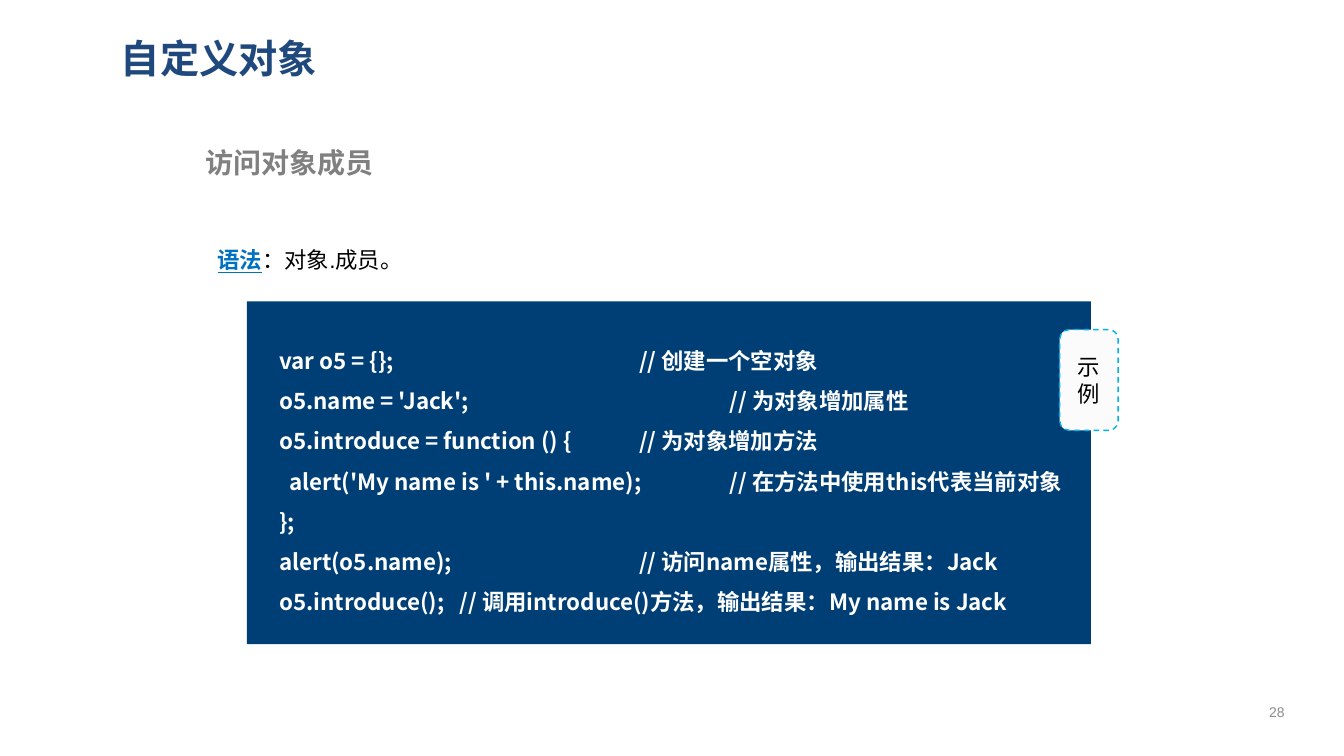
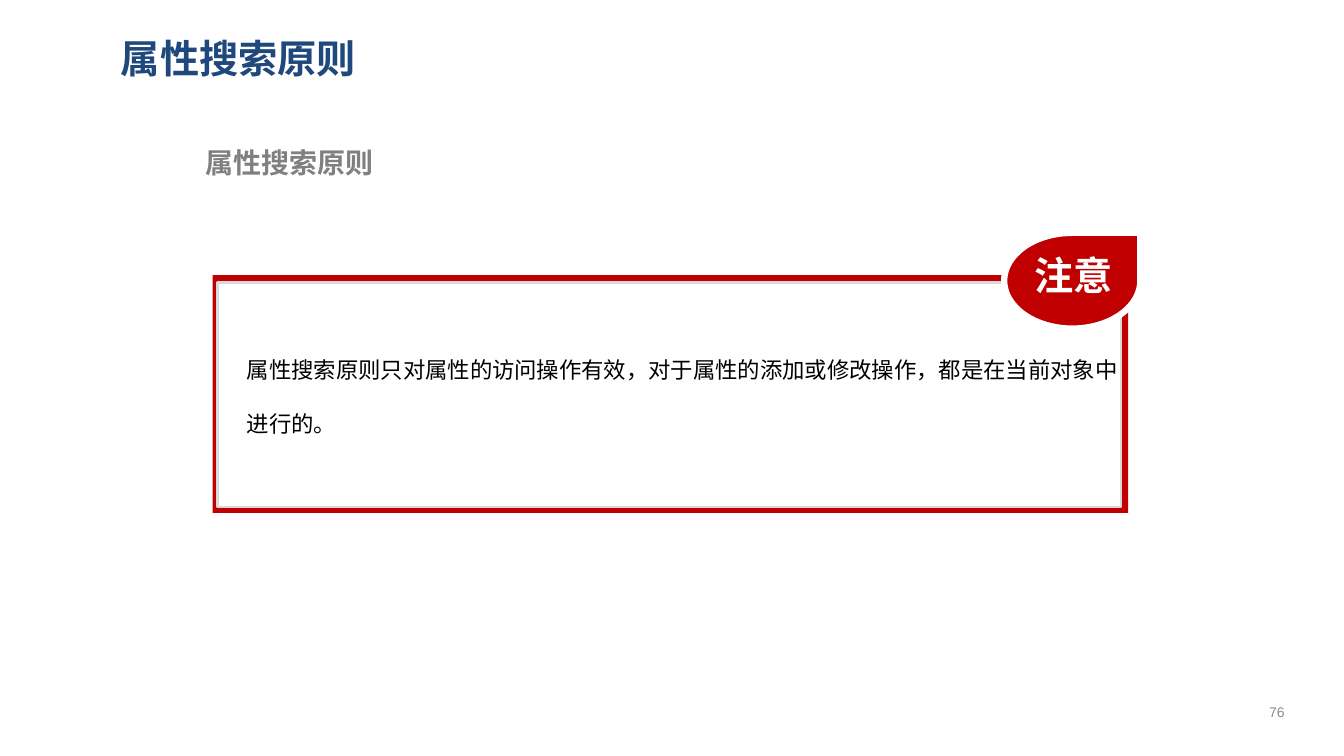
import pptx
import pptx.dml.color
import pptx.enum.dml
import pptx.enum.shapes
import pptx.enum.text
import pptx.oxml.xmlchemy
import pptx.util
from pptx.oxml.ns import qn
from lxml import etree

Inches = pptx.util.Inches
SHAPE = pptx.enum.shapes.MSO_SHAPE
ALIGN = pptx.enum.text.PP_ALIGN
ANCHOR = pptx.enum.text.MSO_ANCHOR

SANS = "Noto Sans CJK SC"
COLORS = {
    "title": "1F497D", "grey": "808080", "number": "8C8C8C",
    "link": "0070C0", "navy": "003F75", "cyan": "00B4E9",
    "tag": "FBFBFB", "rim": "D9D9D9", "red": "C00000",
    "black": "000000", "white": "FFFFFF",
}
TABS = [1.79, 2.68, 3.57, 4.47]
CODE = [
    "var o5 = {};\t\t\t// 创建一个空对象",
    "o5.name = 'Jack';\t\t\t// 为对象增加属性",
    "o5.introduce = function () {\t// 为对象增加方法",
    "  alert('My name is ' + this.name);\t// 在方法中使用this代表当前对象",
    "};",
    "alert(o5.name);\t\t\t// 访问name属性，输出结果：Jack",
    "o5.introduce();\t// 调用introduce()方法，输出结果：My name is Jack",
]


def paint(color):
    return pptx.dml.color.RGBColor.from_string(COLORS[color])


def style(run, size=16, font="Arial", color="black", bold=False, under=False):
    run.font.size = pptx.util.Pt(size)
    run.font.bold = bold
    run.font.underline = under
    run.font.color.rgb = paint(color)
    run.font.name = font
    east = etree.SubElement(run.font._element, qn("a:ea"))
    east.set("typeface", SANS)


def write(frame, lines, align=ALIGN.LEFT, anchor=ANCHOR.TOP, space=1, tabs=(),
          wrap=True, **look):
    """Fill a frame; a line is a string or a list of (text, extra format) runs."""
    frame.word_wrap = wrap
    frame.vertical_anchor = anchor
    for index, line in enumerate(lines):
        para = frame.add_paragraph() if index else frame.paragraphs[0]
        if tabs:
            stops = etree.SubElement(para._p.get_or_add_pPr(), qn("a:tabLst"))
            for tab in tabs:
                etree.SubElement(stops, qn("a:tab"), pos=str(Inches(tab)), algn="l")
        para.alignment = align
        para.line_spacing = space
        for text, extra in [(line, {})] if isinstance(line, str) else line:
            run = para.add_run()
            run.text = text
            style(run, **{**look, **extra})


def place(shape, box):
    shape.left, shape.top, shape.width, shape.height = map(Inches, box)


def label(slide, box, lines, **look):
    area = slide.shapes.add_textbox(*map(Inches, box))
    write(area.text_frame, lines, **look)


def block(slide, kind, box, fill, line=None, width=1):
    shape = slide.shapes.add_shape(kind, *map(Inches, box))
    shape.shadow.inherit = False
    shape.fill.solid()
    shape.fill.fore_color.rgb = paint(fill)
    if line:
        shape.line.color.rgb = paint(line)
        shape.line.width = pptx.util.Pt(width)
    else:
        shape.line.fill.background()
    return shape


def start(deck, title, topic, number):
    """Add a slide with its title, topic line and page number."""
    slide = deck.slides.add_slide(deck.slide_layouts[5])
    place(slide.shapes.title, (1.1, 0.24, 11.65, 0.67))
    write(slide.shapes.title.text_frame, [title], anchor=ANCHOR.MIDDLE,
          size=28, font=SANS, color="title", bold=True)
    label(slide, (1.94, 1.39, 9.22, 0.44), [topic],
          size=20, font=SANS, color="grey", bold=True)
    label(slide, (12.34, 6.86, 0.65, 0.4), [number], align=ALIGN.CENTER,
          anchor=ANCHOR.MIDDLE, size=10, color="number")
    return slide


def access(deck):
    slide = start(deck, "自定义对象", "访问对象成员", "28")
    term = {"color": "link", "bold": True, "under": True}
    label(slide, (2.06, 2.13, 9.19, 0.61),
          [[("语法", term), ("：对象.成员。", {})]], space=2)
    block(slide, SHAPE.RECTANGLE, (2.45, 2.99, 8.37, 3.4), "navy")
    label(slide, (2.67, 3.26, 8.15, 2.93), CODE, space=1.5, tabs=TABS,
          font=SANS, color="white", bold=True)
    tag = block(slide, SHAPE.ROUNDED_RECTANGLE, (10.51, 3.27, 0.58, 1),
                "tag", "cyan")
    tag.line.dash_style = pptx.enum.dml.MSO_LINE.DASH
    write(tag.text_frame, ["示例"], align=ALIGN.CENTER, anchor=ANCHOR.MIDDLE)


def search(deck):
    slide = start(deck, "属性搜索原则", "属性搜索原则", "76")
    block(slide, SHAPE.RECTANGLE, (2.11, 2.73, 9.08, 2.36), "red")
    block(slide, SHAPE.RECTANGLE, (2.16, 2.8, 8.96, 2.23), "white", "rim", 2)
    block(slide, SHAPE.TEAR, (9.96, 2.31, 1.35, 0.95), "red", "white", 4.5)
    label(slide, (10.15, 2.44, 0.99, 0.57), ["注意"], align=ALIGN.CENTER,
          wrap=False, size=28, font=SANS, color="white", bold=True)
    label(slide, (2.35, 3.22, 8.9, 1.22),
          ["属性搜索原则只对属性的访问操作有效，对于属性的添加或修改操作，"
           "都是在当前对象中进行的。"], space=2)


def main():
    deck = pptx.Presentation()
    deck.slide_width = Inches(13.33)
    deck.slide_height = Inches(7.5)
    access(deck)
    search(deck)
    deck.save("out.pptx")


if __name__ == "__main__":
    main()
